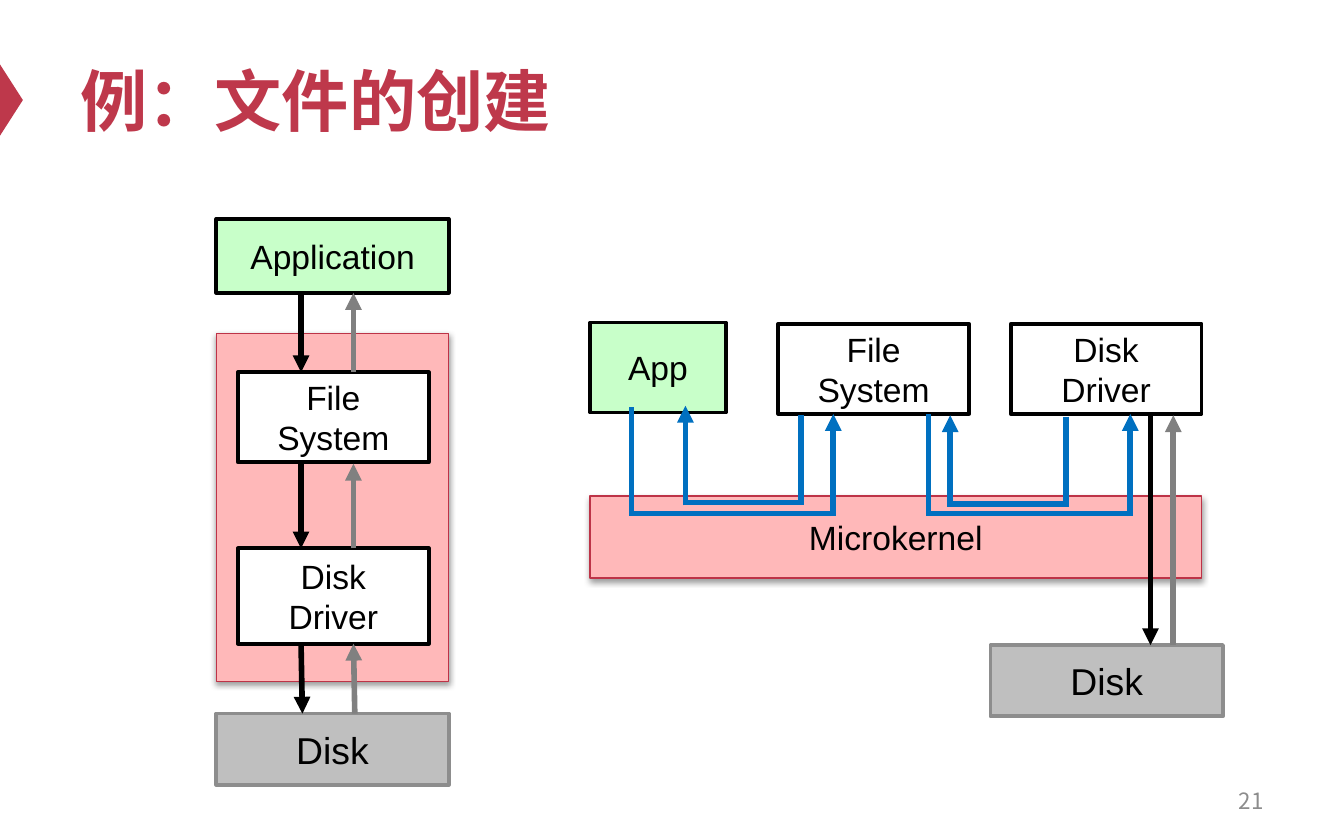
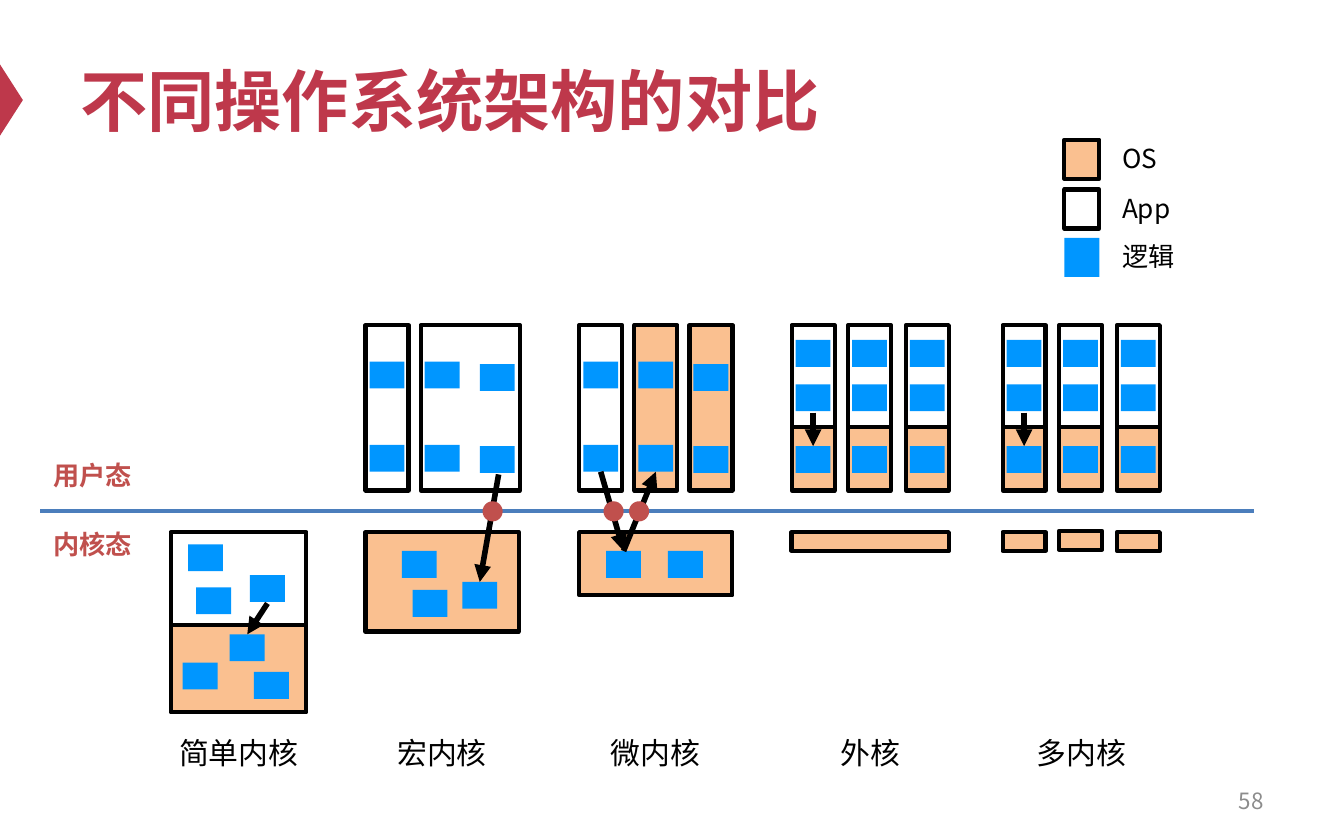
from dataclasses import dataclass
from typing import NamedTuple, Optional

from lxml import etree
from pptx import Presentation
from pptx.dml.color import RGBColor
from pptx.enum.shapes import MSO_CONNECTOR, MSO_SHAPE
from pptx.enum.text import MSO_ANCHOR, PP_ALIGN
from pptx.oxml.ns import qn
from pptx.util import Inches, Pt

RECTANGLE, OVAL, TRIANGLE = MSO_SHAPE.RECTANGLE, MSO_SHAPE.OVAL, MSO_SHAPE.ISOSCELES_TRIANGLE
STRAIGHT = MSO_CONNECTOR.STRAIGHT
LEFT, CENTER, RIGHT = PP_ALIGN.LEFT, PP_ALIGN.CENTER, PP_ALIGN.RIGHT
TOP, MIDDLE = MSO_ANCHOR.TOP, MSO_ANCHOR.MIDDLE

LATIN_FONT = "Arial"
CHINESE_FONT = "Noto Sans CJK SC"

BLACK = RGBColor(0x00, 0x00, 0x00)
WHITE = RGBColor(0xFF, 0xFF, 0xFF)
CRIMSON = RGBColor(0xBE, 0x38, 0x4B)
PAGE_GRAY = RGBColor(0x8C, 0x8C, 0x8C)
APP_GREEN = RGBColor(0xC8, 0xFF, 0xC9)
KERNEL_PINK = RGBColor(0xFF, 0xB8, 0xB9)
KERNEL_EDGE = RGBColor(0xBD, 0x33, 0x47)
DISK_GRAY = RGBColor(0xBF, 0xBF, 0xBF)
DISK_EDGE = RGBColor(0x8D, 0x8D, 0x8D)
RETURN_GRAY = RGBColor(0x80, 0x80, 0x80)
IPC_BLUE = RGBColor(0x00, 0x70, 0xC0)
OS_ORANGE = RGBColor(0xFA, 0xC0, 0x90)
LOGIC_BLUE = RGBColor(0x00, 0x96, 0xFF)
MODE_BLUE = RGBColor(0x4B, 0x7E, 0xBC)
MODE_RED = RGBColor(0xC0, 0x50, 0x4D)


class Area(NamedTuple):
    left: float
    top: float
    width: float
    height: float


@dataclass(frozen=True)
class TextStyle:
    size: float
    font: str = CHINESE_FONT
    color: RGBColor = BLACK
    bold: bool = False
    align: PP_ALIGN = LEFT
    anchor: MSO_ANCHOR = TOP
    wrap: bool = True


@dataclass(frozen=True)
class BoxStyle:
    fill: Optional[RGBColor] = None
    edge: Optional[RGBColor] = None
    edge_width: float = 0
    shadow: bool = False


class Arrow(NamedTuple):
    x1: float
    y1: float
    x2: float
    y2: float
    color: RGBColor = BLACK


class Loop(NamedTuple):
    """A message that dips into the kernel and rises at an arrowhead."""
    start_x: float
    start_top: float
    end_x: float
    end_top: float
    floor: float


TITLE = TextStyle(36, LATIN_FONT, CRIMSON, bold=True, anchor=MIDDLE)
PAGE_NUMBER = TextStyle(12, color=PAGE_GRAY, align=RIGHT, anchor=MIDDLE)
BOX_TEXT = TextStyle(18, LATIN_FONT, align=CENTER, anchor=MIDDLE)
DISK_TEXT = TextStyle(20, LATIN_FONT, align=CENTER, anchor=MIDDLE)
MODE_TEXT = TextStyle(14, color=MODE_RED, bold=True, wrap=False)
LEGEND_TEXT = TextStyle(14)
KERNEL_NAME = TextStyle(16, align=CENTER)

APP_BOX = BoxStyle(APP_GREEN, BLACK, 2)
SERVICE_BOX = BoxStyle(WHITE, BLACK, 2)
KERNEL_BOX = BoxStyle(KERNEL_PINK, KERNEL_EDGE, 0.75, shadow=True)
DISK_BOX = BoxStyle(DISK_GRAY, DISK_EDGE, 2)
APP_FRAME = BoxStyle(None, BLACK, 2.25)
OS_FRAME = BoxStyle(OS_ORANGE, BLACK, 2.25)
LOGIC = BoxStyle(LOGIC_BLUE)
CROSSING = BoxStyle(MODE_RED)


# Drawing helpers
def write(shape, text: str, style: TextStyle) -> None:
    frame = shape.text_frame
    frame.word_wrap = style.wrap
    frame.vertical_anchor = style.anchor
    for index, line in enumerate(text.split("\n")):
        para = frame.add_paragraph() if index else frame.paragraphs[0]
        para.alignment = style.align
        span = para.add_run()
        span.text = line
        span.font.name = style.font
        span.font.size = Pt(style.size)
        span.font.bold = style.bold
        span.font.color.rgb = style.color
        east_asian = etree.SubElement(span.font._element, qn("a:ea"))
        east_asian.set("typeface", CHINESE_FONT)


def add_text(page, area: Area, text: str, style: TextStyle) -> None:
    write(page.shapes.add_textbox(*map(Inches, area)), text, style)


def add_soft_shadow(shape) -> None:
    effects = shape._element.spPr.find(qn("a:effectLst"))
    shadow = etree.SubElement(effects, qn("a:outerShdw"), blurRad="40000",
                              dist="20000", dir="5400000", rotWithShape="0")
    color = etree.SubElement(shadow, qn("a:srgbClr"), val=str(BLACK))
    etree.SubElement(color, qn("a:alpha"), val="38000")


def add_box(page, area: Area, style: BoxStyle, text: str = "",
            text_style: TextStyle = BOX_TEXT, kind=RECTANGLE):
    box = page.shapes.add_shape(kind, *map(Inches, area))
    box.shadow.inherit = False
    if style.fill is None:
        box.fill.background()
    else:
        box.fill.solid()
        box.fill.fore_color.rgb = style.fill
    if style.edge is None:
        box.line.fill.background()
    else:
        box.line.color.rgb = style.edge
        box.line.width = Pt(style.edge_width)
    if style.shadow:
        add_soft_shadow(box)
    if text:
        write(box, text, text_style)
    return box


def add_line(page, line: Arrow, width: float = 3, arrowhead: bool = True) -> None:
    connector = page.shapes.add_connector(STRAIGHT, *map(Inches, line[:4]))
    connector.line.color.rgb = line.color
    connector.line.width = Pt(width)
    if arrowhead:
        etree.SubElement(connector.line._get_or_add_ln(), qn("a:tailEnd"), type="triangle")
    etree.SubElement(connector._element.spPr, qn("a:effectLst"))


def add_loop(page, loop: Loop) -> None:
    bottom = loop.floor + 0.02
    add_line(page, Arrow(loop.start_x, loop.start_top, loop.start_x, bottom, IPC_BLUE),
             arrowhead=False)
    add_line(page, Arrow(loop.start_x, loop.floor, loop.end_x, loop.floor, IPC_BLUE),
             arrowhead=False)
    add_line(page, Arrow(loop.end_x, bottom, loop.end_x, loop.end_top, IPC_BLUE))


def add_logic(page, left: float, top: float) -> None:
    add_box(page, Area(left, top, 0.26, 0.2), LOGIC)


def add_page(deck, title: str, number: str):
    page = deck.slides.add_slide(deck.slide_layouts[6])
    marker = add_box(page, Area(-0.18, 0.66, 0.53, 0.17), BoxStyle(CRIMSON), kind=TRIANGLE)
    marker.rotation = 90
    add_text(page, Area(0.5, 0.25, 9, 0.98), title, TITLE)
    add_text(page, Area(7.17, 5.79, 2.33, 0.33), number, PAGE_NUMBER)
    return page


# File creation: monolithic kernel against microkernel
def build_file_creation(deck) -> None:
    page = add_page(deck, "例：文件的创建", "21")

    # Monolithic stack
    add_box(page, Area(1.61, 1.63, 1.73, 0.55), APP_BOX, "Application")
    add_box(page, Area(1.61, 2.48, 1.73, 2.59), KERNEL_BOX)
    add_box(page, Area(1.77, 2.77, 1.42, 0.67), SERVICE_BOX, "File\nSystem")
    add_box(page, Area(1.77, 4.08, 1.42, 0.71), SERVICE_BOX, "Disk\nDriver")
    add_box(page, Area(1.61, 5.31, 1.73, 0.53), DISK_BOX, "Disk", DISK_TEXT)
    for upper, lower, drift in ((2.18, 2.77, 0), (3.45, 4.08, 0), (4.79, 5.31, 0.01)):
        add_line(page, Arrow(2.24, upper, 2.24 + drift, lower))
        add_line(page, Arrow(2.63 + drift, lower, 2.63, upper, RETURN_GRAY))

    # Microkernel and its servers
    add_box(page, Area(4.39, 2.4, 1.01, 0.67), APP_BOX, "App")
    add_box(page, Area(5.79, 2.41, 1.42, 0.67), SERVICE_BOX, "File\nSystem")
    add_box(page, Area(7.52, 2.41, 1.42, 0.67), SERVICE_BOX, "Disk\nDriver")
    add_box(page, Area(4.39, 3.69, 4.55, 0.61), KERNEL_BOX, "Microkernel")
    add_box(page, Area(7.37, 4.8, 1.73, 0.53), DISK_BOX, "Disk", DISK_TEXT)
    for loop in (Loop(4.7, 3.03, 6.2, 3.08, 3.82), Loop(6.91, 3.08, 8.41, 3.08, 3.82),
                 Loop(5.96, 3.09, 5.1, 3.02, 3.74), Loop(7.93, 3.1, 7.07, 3.09, 3.75)):
        add_loop(page, loop)
    add_line(page, Arrow(8.56, 3.08, 8.56, 4.8))
    add_line(page, Arrow(8.73, 4.8, 8.73, 3.09, RETURN_GRAY))


# Comparison of kernel architectures
def add_split_processes(page, left: float) -> None:
    """Three processes, each with application logic above its own OS library."""
    for offset in (0, 0.42, 0.85):
        column = left + offset
        add_box(page, Area(column, 3.18, 0.32, 0.47), OS_FRAME)
        add_box(page, Area(column, 2.42, 0.32, 0.76), APP_FRAME)
        for top in (2.53, 2.86, 3.32):
            add_logic(page, column + 0.03, top)
    add_line(page, Arrow(left + 0.16, 3.07, left + 0.16, 3.32))


def build_comparison(deck) -> None:
    page = add_page(deck, "不同操作系统架构的对比", "58")

    # Boundary between user mode and kernel mode
    add_line(page, Arrow(0.3, 3.8, 9.33, 3.8, MODE_BLUE), 2.25, arrowhead=False)
    add_text(page, Area(0.3, 3.37, 0.79, 0.34), "用户态", MODE_TEXT)
    add_text(page, Area(0.3, 3.88, 0.79, 0.34), "内核态", MODE_TEXT)

    # Legend
    legend = ((1.04, "OS", OS_FRAME), (1.41, "App", APP_FRAME), (1.77, "逻辑", LOGIC))
    for top, name, style in legend:
        add_box(page, Area(7.92, top, 0.26, 0.29), style)
        add_text(page, Area(8.25, top - 0.03, 0.72, 0.34), name, LEGEND_TEXT)

    # Simple, monolithic and microkernel frames
    for area, style in (
        (Area(1.27, 3.96, 1.01, 0.7), APP_FRAME), (Area(1.27, 4.65, 1.01, 0.65), OS_FRAME),
        (Area(2.72, 2.42, 0.32, 1.23), APP_FRAME), (Area(3.13, 2.42, 0.74, 1.23), APP_FRAME),
        (Area(2.72, 3.96, 1.14, 0.74), OS_FRAME),
        (Area(4.31, 2.42, 0.32, 1.23), APP_FRAME), (Area(4.72, 2.42, 0.32, 1.23), OS_FRAME),
        (Area(5.13, 2.42, 0.32, 1.23), OS_FRAME), (Area(4.31, 3.96, 1.14, 0.47), OS_FRAME),
    ):
        add_box(page, area, style)

    # Logic in user processes, then inside the kernels
    for left in (2.75, 4.34):
        for offset, upper, lower in ((0, 2.69, 3.31), (0.41, 2.69, 3.31), (0.82, 2.71, 3.32)):
            add_logic(page, left + offset, upper)
            add_logic(page, left + offset, lower)
    for left, top in (
        (1.4, 4.05), (1.86, 4.28), (1.46, 4.37), (1.71, 4.72), (1.36, 4.93), (1.89, 5),
        (2.99, 4.1), (3.44, 4.33), (3.07, 4.39), (4.51, 4.1), (4.97, 4.1),
    ):
        add_logic(page, left, top)

    # Exokernel and multikernel
    add_split_processes(page, 5.89)
    add_split_processes(page, 7.46)
    for left, top, width in ((5.89, 3.96, 1.17), (7.46, 3.96, 0.32),
                             (7.88, 3.95, 0.32), (8.31, 3.96, 0.32)):
        add_box(page, Area(left, top, width, 0.14), OS_FRAME)

    # Calls and the points where they cross the boundary
    for call in (Arrow(1.99, 4.49, 1.84, 4.72), Arrow(3.71, 3.53, 3.57, 4.33),
                 Arrow(4.47, 3.51, 4.64, 4.1), Arrow(4.64, 4.1, 4.88, 3.51)):
        add_line(page, call)
    for left in (3.59, 4.49, 4.68):
        add_box(page, Area(left, 3.73, 0.15, 0.15), CROSSING, kind=OVAL)

    # Architecture names
    for left, width, name in ((1.18, 1.19, "简单内核"), (2.75, 1.08, "宏内核"),
                              (4.18, 1.39, "微内核"), (5.78, 1.39, "外核"),
                              (7.35, 1.39, "多内核")):
        add_text(page, Area(left, 5.42, width, 0.37), name, KERNEL_NAME)


def main() -> None:
    deck = Presentation()
    deck.slide_width = Inches(10)
    deck.slide_height = Inches(6.25)
    build_file_creation(deck)
    build_comparison(deck)
    deck.save("out.pptx")


if __name__ == "__main__":
    main()
